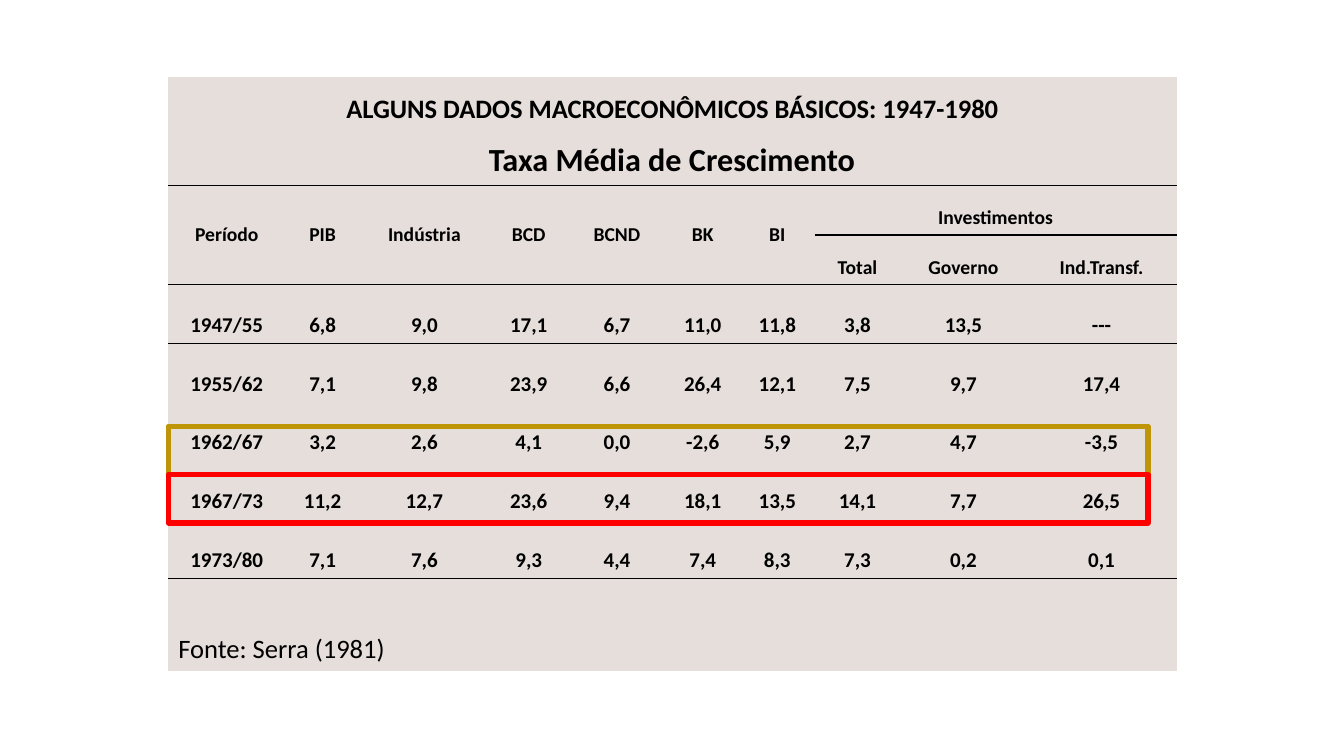
from lxml import etree
from pptx import Presentation
from pptx.dml.color import RGBColor
from pptx.enum.shapes import MSO_SHAPE
from pptx.enum.text import MSO_ANCHOR, PP_ALIGN
from pptx.oxml.ns import qn
from pptx.util import Cm, Pt

RECT = MSO_SHAPE.RECTANGLE
MIDDLE, BOTTOM = MSO_ANCHOR.MIDDLE, MSO_ANCHOR.BOTTOM
LEFT, CENTER = PP_ALIGN.LEFT, PP_ALIGN.CENTER

FONT = "Calibri"
PLAIN = "{2D5ABB26-0587-4C30-8999-92F81FD0307C}"  # table style without grid
BLACK, SAND, GOLD, RED = "000000", "E5DEDB", "BD9506", "FF0000"

WIDTHS = [2.95, 1.88, 3.25, 2.01, 2.44, 1.88, 1.88, 2.16, 3.18, 3.78]
HEIGHTS = [1.37] * 2 + [1.25] * 2 + [1.48] * 5 + [2.34]
RULED = {1, 3, 8}  # rows with a line below
MERGES = [(0, 0, 0, 9), (1, 0, 1, 9), (2, 7, 2, 9), (9, 0, 9, 2)]
MERGES += [(2, col, 3, col) for col in range(7)]

HEADS = ["Período", "PIB", "Indústria", "BCD", "BCND", "BK", "BI", "Investimentos"]
PARTS = ["Total", "Governo", "Ind.Transf."]
RATES = [
    ["1947/55", "6,8", "9,0", "17,1", "6,7", "11,0", "11,8", "3,8", "13,5", "---"],
    ["1955/62", "7,1", "9,8", "23,9", "6,6", "26,4", "12,1", "7,5", "9,7", "17,4"],
    ["1962/67", "3,2", "2,6", "4,1", "0,0", "-2,6", "5,9", "2,7", "4,7", "-3,5"],
    ["1967/73", "11,2", "12,7", "23,6", "9,4", "18,1", "13,5", "14,1", "7,7", "26,5"],
    ["1973/80", "7,1", "7,6", "9,3", "4,4", "7,4", "8,3", "7,3", "0,2", "0,1"],
]


def color(code):
    return RGBColor.from_string(code)


def rule(cell, side):
    """Draw a thin line on one side of a cell: "T" or "B"."""
    line = etree.Element(qn(f"a:ln{side}"), w=str(Pt(1)))
    fill = etree.SubElement(line, qn("a:solidFill"))
    etree.SubElement(fill, qn("a:srgbClr"), val=BLACK)
    cell._tc.get_or_add_tcPr().insert(0, line)


def write(cell, text, size, bold=True, align=CENTER, anchor=BOTTOM):
    cell.text = text
    cell.vertical_anchor = anchor
    para = cell.text_frame.paragraphs[0]
    para.alignment = align
    font = para.font
    font.name, font.size, font.bold = FONT, Pt(size), bold
    font.color.rgb = color(BLACK)


def add_grid(slide):
    frame = slide.shapes.add_table(
        len(HEIGHTS), len(WIDTHS), Cm(4.24), Cm(1.93),
        Cm(sum(WIDTHS)), Cm(sum(HEIGHTS)))
    table = frame.table
    table.first_row = table.horz_banding = False
    table._tbl.tblPr.find(qn("a:tableStyleId")).text = PLAIN
    for col, width in zip(table.columns, WIDTHS):
        col.width = Cm(width)
    for row, height in zip(table.rows, HEIGHTS):
        row.height = Cm(height)
    for top, left, bottom, right in MERGES:
        table.cell(top, left).merge(table.cell(bottom, right))
    return table


def style_grid(table):
    for row in range(len(HEIGHTS)):
        for col in range(len(WIDTHS)):
            cell = table.cell(row, col)
            cell.fill.solid()
            cell.fill.fore_color.rgb = color(SAND)
            tall = cell.span_height if cell.is_merge_origin else 1
            if row + tall - 1 in RULED:
                rule(cell, "B")
            if row - 1 in RULED:
                rule(cell, "T")


def fill_grid(table):
    write(table.cell(0, 0), "ALGUNS DADOS MACROECONÔMICOS BÁSICOS: 1947-1980", 19)
    write(table.cell(1, 0), "Taxa Média de Crescimento", 23)
    for col, head in enumerate(HEADS):
        write(table.cell(2, col), head, 14, anchor=MIDDLE if col < 7 else BOTTOM)
    for col, part in enumerate(PARTS, 7):
        write(table.cell(3, col), part, 14)
    for row, rates in enumerate(RATES, 4):
        for col, rate in enumerate(rates):
            write(table.cell(row, col), rate, 15)
    write(table.cell(9, 0), "Fonte: Serra (1981)", 19, bold=False, align=LEFT)


def add_frame(slide, top, code):
    box = slide.shapes.add_shape(RECT, Cm(4.24), Cm(top), Cm(24.69), Cm(1.22))
    box.shadow.inherit = False
    box.fill.background()
    box.line.color.rgb = color(code)
    box.line.width = Pt(3.78)


def main():
    deck = Presentation()
    deck.slide_width, deck.slide_height = Cm(33.87), Cm(19.05)
    slide = deck.slides.add_slide(deck.slide_layouts[6])
    table = add_grid(slide)
    style_grid(table)
    fill_grid(table)
    add_frame(slide, 10.74, GOLD)
    add_frame(slide, 11.96, RED)
    deck.save("out.pptx")


if __name__ == "__main__":
    main()
